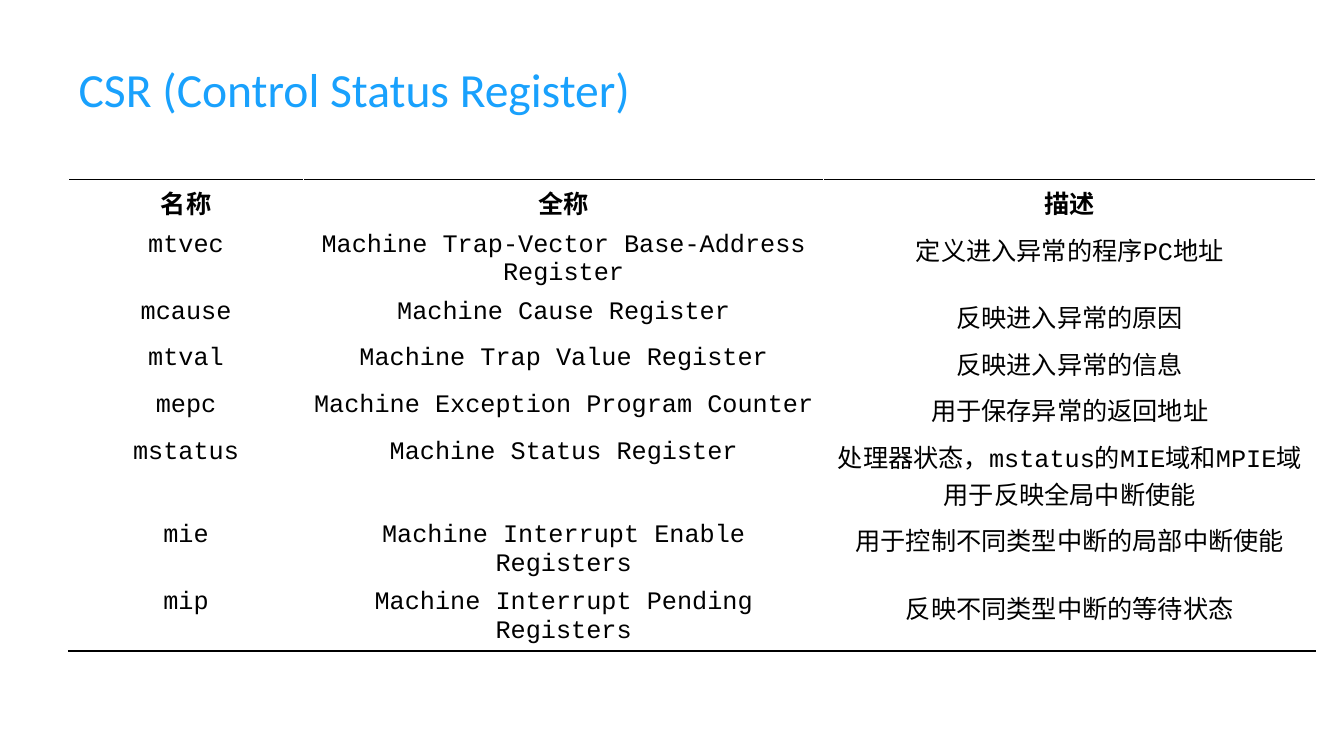
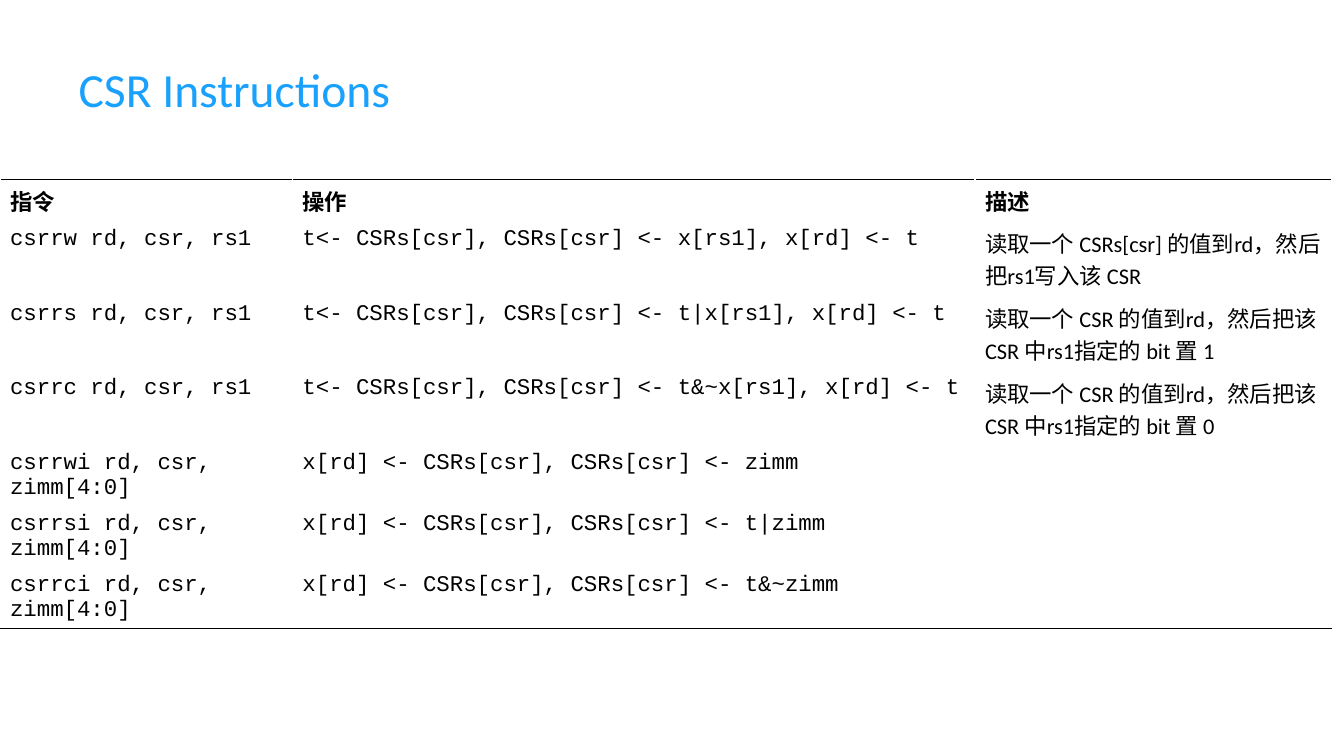
from dataclasses import dataclass

from lxml import etree
from pptx import Presentation
from pptx.dml.color import RGBColor
from pptx.enum.lang import MSO_LANGUAGE_ID
from pptx.enum.text import MSO_ANCHOR, MSO_AUTO_SIZE, PP_ALIGN
from pptx.oxml.ns import qn
from pptx.util import Pt

LEFT = PP_ALIGN.LEFT
CENTER = PP_ALIGN.CENTER
MIDDLE = MSO_ANCHOR.MIDDLE
NO_AUTOFIT = MSO_AUTO_SIZE.NONE
CHINESE = MSO_LANGUAGE_ID.SIMPLIFIED_CHINESE
TITLE_ONLY = 5
EMU_PER_PX = 9144


@dataclass(frozen=True)
class Theme:
    accent: str = "19A1FD"
    ink: str = "000000"
    paper: str = "FFFFFF"
    sans: str = "Calibri"
    mono: str = "Courier New"
    title_size: int = 34
    register_size: int = 18
    instruction_size: int = 16
    thin_rule: int = 1
    header_rule: int = 3


THEME = Theme()

SLIDE_SIZE = (1333, 750)
TITLE_BOX = (68, 36, 1181, 104)
TABLE_TOP = 178
ROW_HEIGHT = 41

REGISTERS = [
    ("名称", "全称", "描述"),
    ("mtvec", "Machine Trap-Vector Base-Address Register", "定义进入异常的程序PC地址"),
    ("mcause", "Machine Cause Register", "反映进入异常的原因"),
    ("mtval", "Machine Trap Value Register", "反映进入异常的信息"),
    ("mepc", "Machine Exception Program Counter", "用于保存异常的返回地址"),
    ("mstatus", "Machine Status Register",
     "处理器状态，mstatus的MIE域和MPIE域用于反映全局中断使能"),
    ("mie", "Machine Interrupt Enable Registers", "用于控制不同类型中断的局部中断使能"),
    ("mip", "Machine Interrupt Pending Registers", "反映不同类型中断的等待状态"),
]

INSTRUCTIONS = [
    ("指令", "操作", "描述"),
    ("csrrw rd, csr, rs1", "t<- CSRs[csr], CSRs[csr] <- x[rs1], x[rd] <- t",
     "读取一个 CSRs[csr] 的值到rd，然后把rs1写入该 CSR"),
    ("csrrs rd, csr, rs1", "t<- CSRs[csr], CSRs[csr] <- t|x[rs1], x[rd] <- t",
     "读取一个 CSR 的值到rd，然后把该 CSR 中rs1指定的 bit 置 1"),
    ("csrrc rd, csr, rs1", "t<- CSRs[csr], CSRs[csr] <- t&~x[rs1], x[rd] <- t",
     "读取一个 CSR 的值到rd，然后把该 CSR 中rs1指定的 bit 置 0"),
    ("csrrwi rd, csr, zimm[4:0]", "x[rd] <- CSRs[csr], CSRs[csr] <- zimm", ""),
    ("csrrsi rd, csr, zimm[4:0]", "x[rd] <- CSRs[csr], CSRs[csr] <- t|zimm", ""),
    ("csrrci rd, csr, zimm[4:0]", "x[rd] <- CSRs[csr], CSRs[csr] <- t&~zimm", ""),
]


def px(length):
    return length * EMU_PER_PX


def style_text(frame, font_name, size, color, align, bold=False):
    for paragraph in frame.paragraphs:
        paragraph.alignment = align
        for run in paragraph.runs:
            font = run.font
            font.name = font_name
            font.size = Pt(size)
            font.bold = bold
            font.color.rgb = RGBColor.from_string(color)
            font.language_id = CHINESE


def add_titled_slide(deck, heading):
    slide = deck.slides.add_slide(deck.slide_layouts[TITLE_ONLY])
    title = slide.shapes.title
    title.left, title.top, title.width, title.height = map(px, TITLE_BOX)
    frame = title.text_frame
    frame.text = heading
    frame.auto_size = NO_AUTOFIT
    frame.vertical_anchor = MIDDLE
    style_text(frame, THEME.sans, THEME.title_size, THEME.accent, LEFT)
    return slide


def set_borders(cell, is_header, is_last):
    rules = {
        "a:lnL": (THEME.paper, THEME.thin_rule),
        "a:lnR": (THEME.paper, THEME.thin_rule),
        "a:lnT": (THEME.ink if is_header else THEME.paper, THEME.thin_rule),
        "a:lnB": (THEME.ink if is_last else THEME.paper,
                  THEME.header_rule if is_header else THEME.thin_rule),
    }
    properties = cell._tc.get_or_add_tcPr()
    for position, (tag, (color, width)) in enumerate(rules.items()):
        line = etree.Element(qn(tag), w=str(Pt(width)))
        fill = etree.SubElement(line, qn("a:solidFill"))
        etree.SubElement(fill, qn("a:srgbClr"), val=color)
        properties.insert(position, line)


def add_ruled_table(slide, rows, left, widths, fonts, size, align):
    table = slide.shapes.add_table(
        len(rows), len(widths), px(left), px(TABLE_TOP),
        px(sum(widths)), px(ROW_HEIGHT * len(rows))).table
    table.first_row = False
    table.horz_banding = False
    for column, width in zip(table.columns, widths):
        column.width = px(width)
    for row_index, entries in enumerate(rows):
        is_header = row_index == 0
        is_last = row_index == len(rows) - 1
        for column_index, entry in enumerate(entries):
            cell = table.cell(row_index, column_index)
            cell.fill.background()
            set_borders(cell, is_header, is_last)
            cell.text_frame.text = entry
            style_text(cell.text_frame, fonts[column_index], size,
                       THEME.ink, align, is_header)


def main():
    deck = Presentation()
    deck.slide_width, deck.slide_height = map(px, SLIDE_SIZE)

    registers = add_titled_slide(deck, "CSR (Control Status Register)")
    add_ruled_table(registers, REGISTERS, 68, (233, 516, 488),
                    (THEME.mono,) * 3, THEME.register_size, CENTER)

    instructions = add_titled_slide(deck, "CSR Instructions")
    add_ruled_table(instructions, INSTRUCTIONS, 0, (290, 677, 354),
                    (THEME.mono, THEME.mono, THEME.sans),
                    THEME.instruction_size, LEFT)

    deck.save("out.pptx")


if __name__ == "__main__":
    main()
